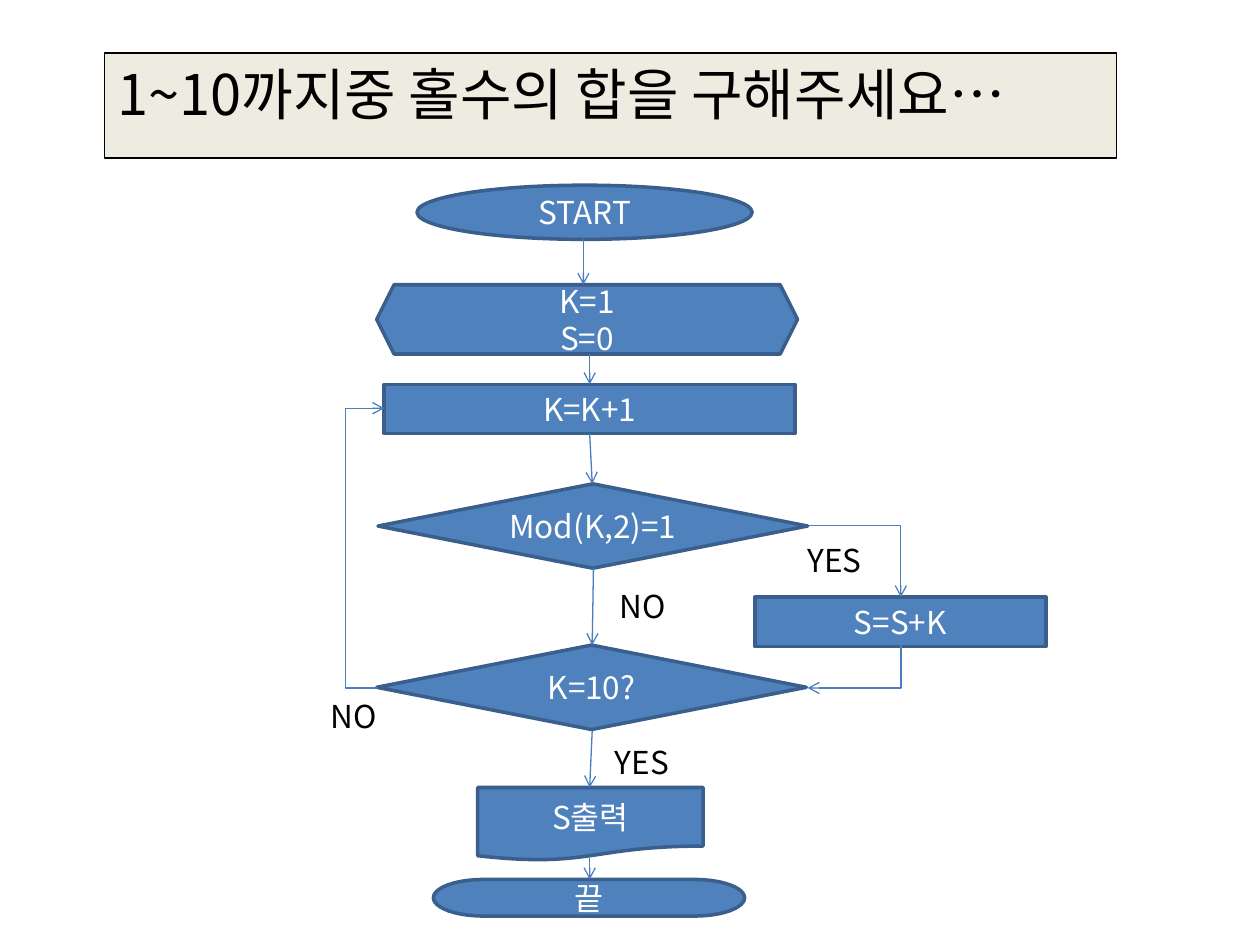
from dataclasses import dataclass

from lxml import etree
from pptx import Presentation
from pptx.dml.color import RGBColor
from pptx.enum.shapes import MSO_CONNECTOR, MSO_SHAPE
from pptx.enum.text import MSO_ANCHOR, MSO_AUTO_SIZE, PP_ALIGN
from pptx.oxml.ns import qn
from pptx.util import Inches, Pt

RECTANGLE = MSO_SHAPE.RECTANGLE
DECISION = MSO_SHAPE.FLOWCHART_DECISION
STRAIGHT = MSO_CONNECTOR.STRAIGHT
ELBOW = MSO_CONNECTOR.ELBOW
TITLE_ONLY = 5


@dataclass(frozen=True)
class Theme:
    font: str = "Noto Sans CJK KR"
    title_size: int = 32
    body_size: int = 18
    node_fill: str = "4F81BD"
    node_line: str = "3A5F8C"
    arrow: str = "4B7EBC"
    title_fill: str = "EEECE1"
    dark: str = "000000"
    light: str = "FFFFFF"
    thick: float = 2
    thin: float = 0.75


THEME = Theme()

NODES = [
    (MSO_SHAPE.OVAL, "START", 3.31, 1.47, 2.66, 0.43),
    (MSO_SHAPE.HEXAGON, "K=1\nS=0", 2.99, 2.26, 3.34, 0.55),
    (RECTANGLE, "K=K+1", 3.05, 3.05, 3.26, 0.39),
    (DECISION, "Mod(K,2)=1", 3, 3.84, 3.41, 0.67),
    (RECTANGLE, "S=S+K", 5.99, 4.74, 2.31, 0.39),
    (DECISION, "K=10?", 2.99, 5.12, 3.41, 0.67),
    (MSO_SHAPE.FLOWCHART_DOCUMENT, "S출력", 3.79, 6.25, 1.79, 0.58),
    (MSO_SHAPE.FLOWCHART_TERMINATOR, "끝", 3.44, 6.98, 2.47, 0.29),
]
LABELS = [
    ("NO", 4.72, 4.69, 0.76),
    ("YES", 6.26, 4.32, 0.73),
    ("YES", 4.73, 5.93, 0.73),
    ("NO", 2.43, 5.56, 0.76),
]
STRAIGHT_ARROWS = [
    (4.63, 1.9, 4.63, 2.26),
    (4.68, 2.81, 4.68, 3.05),
    (4.68, 3.44, 4.7, 3.84),
    (4.71, 4.51, 4.7, 5.12),
    (4.7, 5.8, 4.68, 6.25),
    (4.68, 6.79, 4.68, 6.98),
]


def paint(shape, fill, line, width):
    shape.fill.solid()
    shape.fill.fore_color.rgb = RGBColor.from_string(fill)
    shape.line.color.rgb = RGBColor.from_string(line)
    shape.line.width = Pt(width)


def write(shape, text, size, color, alignment):
    text_frame = shape.text_frame
    text_frame.text = text
    text_frame.word_wrap = True
    for paragraph in text_frame.paragraphs:
        paragraph.alignment = alignment
        for run in paragraph.runs:
            run.font.size = Pt(size)
            run.font.name = THEME.font
            run.font.color.rgb = RGBColor.from_string(color)
            properties = run.font._element
            etree.SubElement(properties, qn("a:ea"), typeface=THEME.font)


def add_title(slide, text):
    title = slide.shapes.title
    title.left, title.top = Inches(0.83), Inches(0.42)
    title.width, title.height = Inches(8.03), Inches(0.64)
    paint(title, THEME.title_fill, THEME.dark, THEME.thin)
    write(title, text, THEME.title_size, THEME.dark, PP_ALIGN.LEFT)
    title.text_frame.vertical_anchor = MSO_ANCHOR.TOP
    title.text_frame.auto_size = MSO_AUTO_SIZE.SHAPE_TO_FIT_TEXT


def add_box(slide, kind, text, box, fill, line, color):
    shape = slide.shapes.add_shape(kind, *map(Inches, box))
    shape.shadow.inherit = False
    paint(shape, fill, line, THEME.thick)
    write(shape, text, THEME.body_size, color, PP_ALIGN.CENTER)
    shape.text_frame.vertical_anchor = MSO_ANCHOR.MIDDLE


def add_arrow(slide, kind, points):
    connector = slide.shapes.add_connector(kind, *map(Inches, points))
    connector.line.color.rgb = RGBColor.from_string(THEME.arrow)
    connector.line.width = Pt(THEME.thin)
    line = connector.line._get_or_add_ln()
    etree.SubElement(line, qn("a:tailEnd"), type="arrow")
    etree.SubElement(connector._element.spPr, qn("a:effectLst"))
    return connector


def add_corner_arrow(slide, points, quarter_turns=0):
    properties = add_arrow(slide, ELBOW, points)._element.spPr
    properties.find(qn("a:prstGeom")).set("prst", "bentConnector2")
    if quarter_turns:
        properties.find(qn("a:xfrm")).set("rot", str(quarter_turns * 5400000))


def add_loop_arrow(slide, points, bend):
    connector = add_arrow(slide, ELBOW, points)
    geometry = connector._element.spPr.find(qn("a:prstGeom"))
    adjustments = geometry.find(qn("a:avLst"))
    if adjustments is None:
        adjustments = etree.SubElement(geometry, qn("a:avLst"))
    formula = f"val {round(bend * 100000)}"
    etree.SubElement(adjustments, qn("a:gd"), name="adj1", fmla=formula)


def main():
    presentation = Presentation()
    presentation.slide_width = Inches(10)
    presentation.slide_height = Inches(7.5)
    slide = presentation.slides.add_slide(presentation.slide_layouts[TITLE_ONLY])
    add_title(slide, "1~10까지중 홀수의 합을 구해주세요…")
    for text, left, top, width in LABELS:
        add_box(slide, RECTANGLE, text, (left, top, width, 0.24),
                THEME.light, THEME.light, THEME.dark)
    for kind, text, *box in NODES:
        add_box(slide, kind, text, box,
                THEME.node_fill, THEME.node_line, THEME.light)
    for points in STRAIGHT_ARROWS:
        add_arrow(slide, STRAIGHT, points)
    add_corner_arrow(slide, (6.42, 4.17, 7.15, 4.74))
    add_corner_arrow(slide, (6.61, 4.92, 6.95, 5.66), quarter_turns=1)
    add_loop_arrow(slide, (2.99, 5.46, 3.05, 3.24), bend=-4.14)
    presentation.save("out.pptx")


main()
